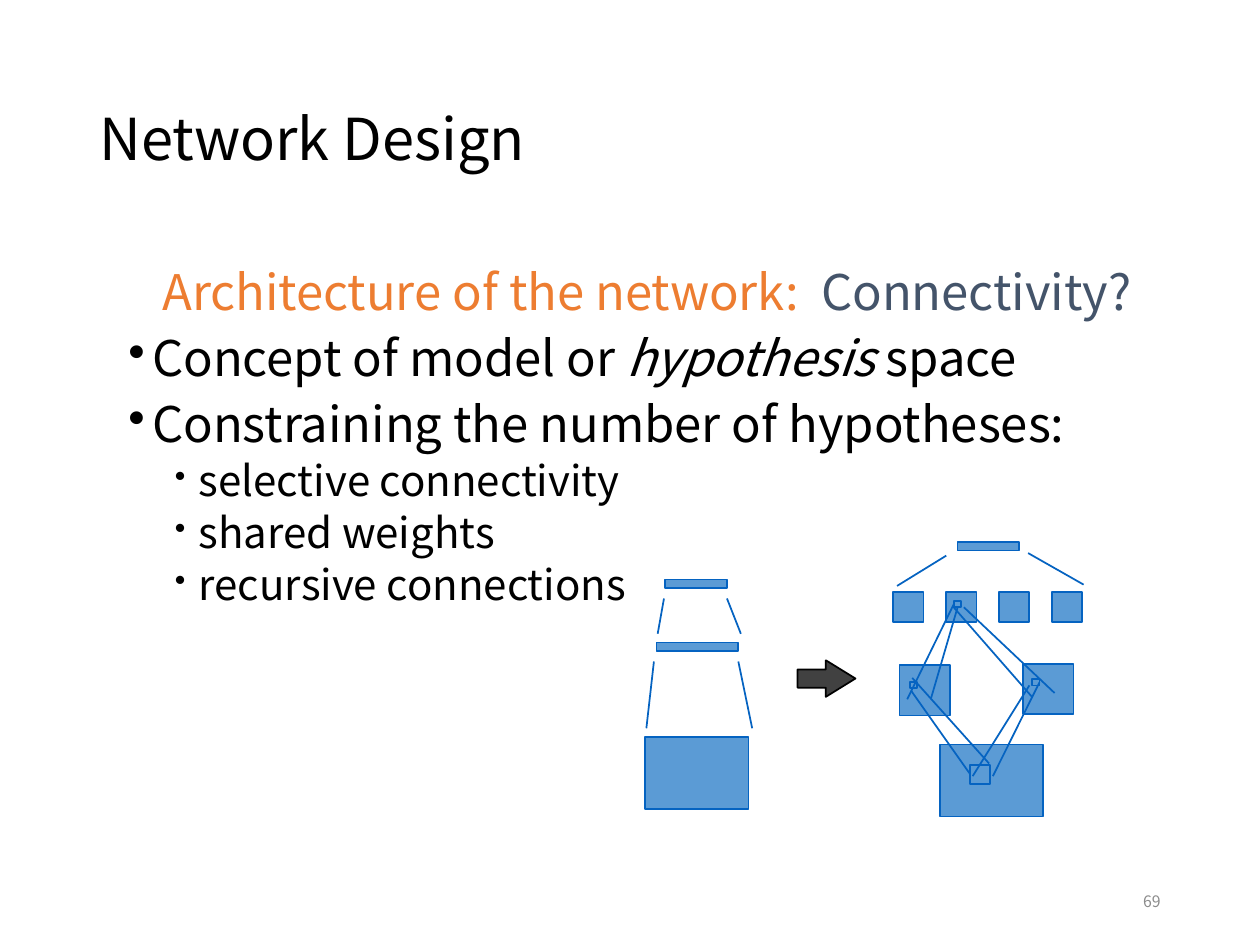
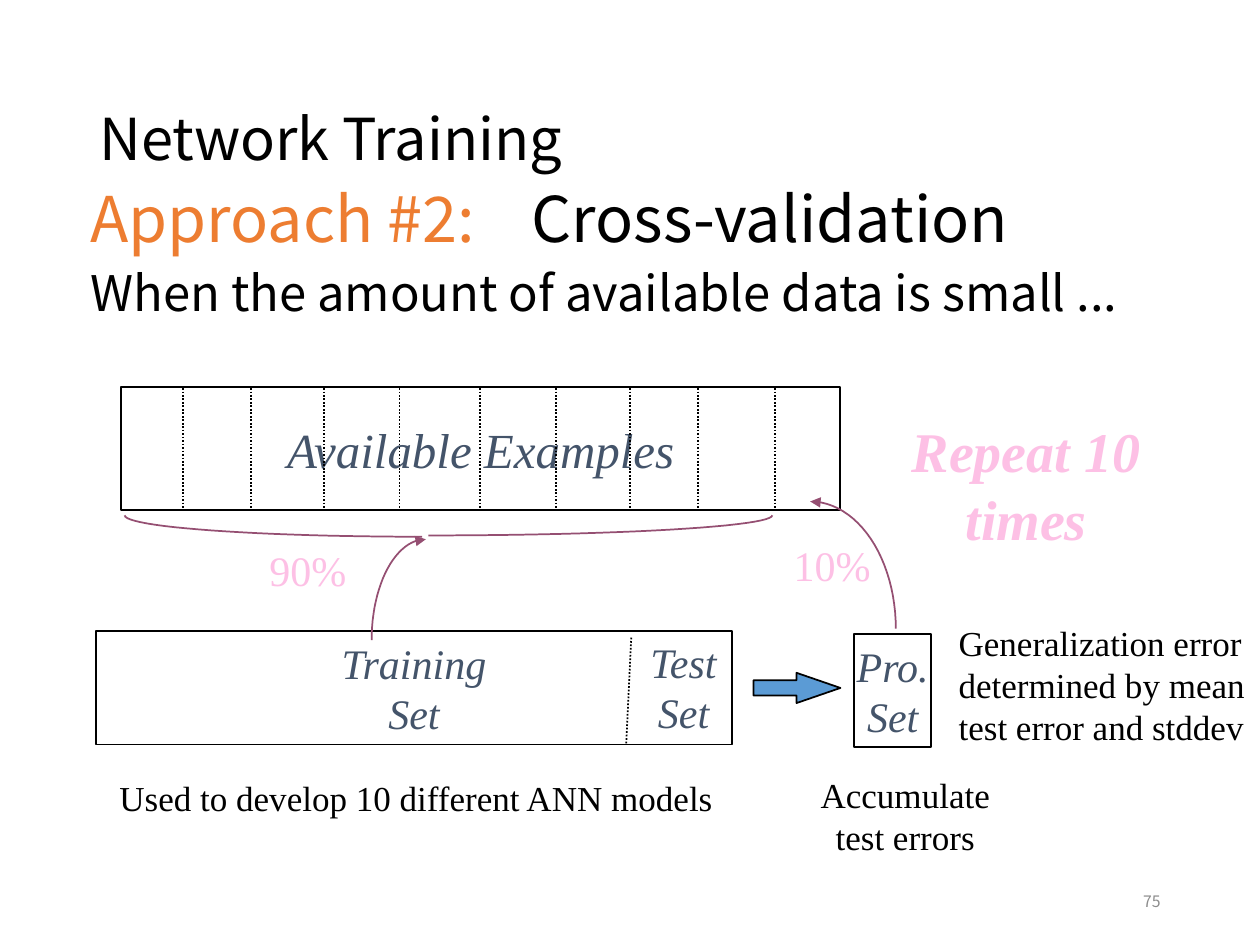
from dataclasses import dataclass
from math import cos, pi, sin

from lxml import etree
from pptx import Presentation
from pptx.dml.color import RGBColor
from pptx.enum.dml import MSO_LINE
from pptx.enum.shapes import MSO_CONNECTOR, MSO_SHAPE
from pptx.enum.text import MSO_ANCHOR, MSO_AUTO_SIZE, PP_ALIGN
from pptx.oxml.ns import qn
from pptx.util import Inches, Pt

LEFT, CENTER, RIGHT = PP_ALIGN.LEFT, PP_ALIGN.CENTER, PP_ALIGN.RIGHT
MIDDLE, TOP = MSO_ANCHOR.MIDDLE, MSO_ANCHOR.TOP
RECTANGLE, RIGHT_ARROW = MSO_SHAPE.RECTANGLE, MSO_SHAPE.RIGHT_ARROW
STRAIGHT = MSO_CONNECTOR.STRAIGHT
DOTTED = MSO_LINE.ROUND_DOT
GROW = MSO_AUTO_SIZE.SHAPE_TO_FIT_TEXT
SIDE_LEFT, SIDE_BOTTOM, SIDE_RIGHT = 1, 2, 3


@dataclass(frozen=True)
class Theme:
    sans: str = "Noto Sans CJK KR"
    serif: str = "Times New Roman"
    black: str = "000000"
    orange: str = "ED7D31"
    slate: str = "44546A"
    layer: str = "5B9BD5"
    link: str = "0563C1"
    arrow: str = "414141"
    plum: str = "954F72"
    pink: str = "FDC0E5"
    grey: str = "8C8C8C"
    title: int = 33
    approach: int = 36
    repeat: int = 32
    body: int = 28
    sub: int = 24
    note: int = 20
    number: int = 9
    rule: int = 1
    spacing: float = 0.9


THEME = Theme()


def rgb(value):
    return RGBColor.from_string(value)


def style_run(run, size, color, font, italic=False, bold=False):
    run.font.size = Pt(size)
    run.font.name = font
    run.font.color.rgb = rgb(color)
    run.font.italic = italic
    run.font.bold = bold


def write_lines(frame, lines, size, color, font=THEME.serif, align=LEFT,
                anchor=TOP, wrap=False, **emphasis):
    frame.text = "\n".join(lines)
    frame.word_wrap = wrap
    frame.vertical_anchor = anchor
    for paragraph in frame.paragraphs:
        paragraph.alignment = align
        for run in paragraph.runs:
            style_run(run, size, color, font, **emphasis)


def add_label(slide, box, lines, size, color, **options):
    frame = slide.shapes.add_textbox(*map(Inches, box)).text_frame
    write_lines(frame, lines, size, color, **options)
    frame.auto_size = GROW


def add_frame_text(slide, box, text, size, color, **options):
    frame = slide.shapes.add_textbox(*map(Inches, box)).text_frame
    write_lines(frame, [text], size, color, font=THEME.sans,
                anchor=MIDDLE, wrap=True, **options)
    return frame


def add_slide(deck, title, number):
    slide = deck.slides.add_slide(deck.slide_layouts[6])
    heading = add_frame_text(slide, (0.69, 0.4, 8.62, 1.45), title,
                             THEME.title, THEME.black)
    heading.paragraphs[0].line_spacing = THEME.spacing
    add_frame_text(slide, (7.06, 6.95, 2.25, 0.4), str(number),
                   THEME.number, THEME.grey, align=RIGHT)
    return slide


def add_body(slide, box):
    frame = slide.shapes.add_textbox(*map(Inches, box)).text_frame
    frame.word_wrap = True
    return frame


def add_body_line(frame, runs, size, margin=0.19, indent=-0.19, before=7.5,
                  level=0, bullet_percent=None, tab=None):
    first = not frame.paragraphs[0].runs
    paragraph = frame.paragraphs[0] if first else frame.add_paragraph()
    paragraph.level = level
    properties = paragraph._p.get_or_add_pPr()
    properties.set("marL", str(Inches(margin)))
    properties.set("indent", str(Inches(indent)))
    if bullet_percent:
        etree.SubElement(properties, qn("a:buSzPct"), val=str(bullet_percent * 1000))
        etree.SubElement(properties, qn("a:buChar"), char="•")
    if tab:
        stops = etree.SubElement(properties, qn("a:tabLst"))
        etree.SubElement(stops, qn("a:tab"), pos=str(Inches(tab)), algn="l")
    paragraph.line_spacing = THEME.spacing
    paragraph.space_before = Pt(0 if first else before)
    for text, color, italic in runs:
        run = paragraph.add_run()
        run.text = text
        style_run(run, size, color, THEME.sans, italic)


def add_block(slide, box, fill=None, line=THEME.black, kind=RECTANGLE):
    block = slide.shapes.add_shape(kind, *map(Inches, box))
    block.shadow.inherit = False
    if fill:
        block.fill.solid()
        block.fill.fore_color.rgb = rgb(fill)
    else:
        block.fill.background()
    block.line.color.rgb = rgb(line)
    block.line.width = Pt(THEME.rule)
    return block


def add_layer(slide, *box):
    return add_block(slide, box, THEME.layer, THEME.link)


def add_arrow(slide, box, fill, head):
    arrow = add_block(slide, box, fill, kind=RIGHT_ARROW)
    arrow.adjustments[0] = 0.5
    arrow.adjustments[1] = head


def add_set(slide, box, lines, size):
    block = add_block(slide, box)
    write_lines(block.text_frame, lines, size, THEME.slate,
                align=CENTER, anchor=MIDDLE, italic=True)


def add_line(slide, start, end, color=THEME.link, dash=None):
    line = slide.shapes.add_connector(STRAIGHT, *map(Inches, start + end))
    line.line.color.rgb = rgb(color)
    line.line.width = Pt(THEME.rule)
    if dash:
        line.line.dash_style = dash
    etree.SubElement(line._element.spPr, qn("a:effectLst"))
    return line


def add_quarter_curve(slide, flat, steep, arrow=False, steps=24):
    angles = [pi / 2 * step / steps for step in range(steps + 1)]
    points = [(Inches(flat[0] + (steep[0] - flat[0]) * sin(angle)),
               Inches(steep[1] + (flat[1] - steep[1]) * cos(angle)))
              for angle in angles]
    builder = slide.shapes.build_freeform(*points[0])
    builder.add_line_segments(points[1:], close=False)
    curve = builder.convert_to_shape()
    curve.shadow.inherit = False
    curve.fill.background()
    curve.line.color.rgb = rgb(THEME.plum)
    curve.line.width = Pt(THEME.rule)
    if arrow:
        etree.SubElement(curve.line._get_or_add_ln(), qn("a:headEnd"), type="triangle")


def draw_dense_network(slide):
    for layer in ((5.12, 5.85, 0.82, 0.57), (5.21, 5.1, 0.65, 0.07), (5.28, 4.6, 0.49, 0.07)):
        add_layer(slide, *layer)
    for start, end in (((5.13, 5.78), (5.19, 5.25)), ((5.97, 5.78), (5.86, 5.25)),
                       ((5.22, 5.03), (5.27, 4.75)), ((5.88, 5.03), (5.77, 4.75))):
        add_line(slide, start, end)


def draw_selective_network(slide):
    add_layer(slide, 7.46, 5.91, 0.82, 0.57)
    add_layer(slide, 7.14, 5.28, 0.4, 0.4)
    add_layer(slide, 8.12, 5.27, 0.4, 0.4)
    for column in range(4):
        add_layer(slide, 7.09 + 0.42 * column, 4.7, 0.24, 0.24)
    add_layer(slide, 7.6, 4.3, 0.49, 0.07)
    add_line(slide, (7.12, 4.65), (7.51, 4.41))
    add_line(slide, (8.6, 4.64), (8.16, 4.39))

    input_patch = add_layer(slide, 7.7, 6.07, 0.16, 0.15)
    add_layer(slide, 7.22, 5.41, 0.06, 0.05)
    top_unit = add_layer(slide, 7.57, 4.77, 0.06, 0.05)
    right_unit = add_layer(slide, 8.19, 5.39, 0.06, 0.05)

    add_line(slide, (7.69, 6.15), (7.23, 5.48)).begin_connect(input_patch, SIDE_LEFT)
    add_line(slide, (7.85, 6.06), (7.24, 5.38))
    add_line(slide, (7.72, 6.16), (8.17, 5.44))
    add_line(slide, (7.88, 6.16), (8.25, 5.41)).end_connect(right_unit, SIDE_RIGHT)
    add_line(slide, (7.2, 5.55), (7.55, 4.8)).end_connect(top_unit, SIDE_LEFT)
    add_line(slide, (7.39, 5.54), (7.62, 4.82)).end_connect(top_unit, SIDE_BOTTOM)
    add_line(slide, (8.37, 5.5), (7.65, 4.82))
    add_line(slide, (8.19, 5.53), (7.56, 4.81))


def build_design(deck):
    slide = add_slide(deck, "Network Design", 69)
    body = add_body(slide, (0.92, 2.08, 8.5, 4.5))
    add_body_line(body, [("Architecture of the network:\t", THEME.orange, False),
                         ("Connectivity?", THEME.slate, False)],
                  THEME.body, margin=0, indent=0.27, tab=5.55)
    add_body_line(body, [("Concept of model or ", THEME.black, False),
                         ("hypothesis", THEME.black, True),
                         (" space", THEME.black, False)],
                  THEME.body, bullet_percent=100)
    add_body_line(body, [("Constraining the number of hypotheses:", THEME.black, False)],
                  THEME.body, bullet_percent=100)
    for constraint in ("selective connectivity", "shared weights", "recursive connections"):
        add_body_line(body, [(constraint, THEME.black, False)], THEME.sub,
                      margin=0.56, before=3.8, level=1, bullet_percent=75)
    draw_dense_network(slide)
    draw_selective_network(slide)
    add_arrow(slide, (6.33, 5.24, 0.46, 0.29), THEME.arrow, 0.81)


def build_training(deck):
    slide = add_slide(deck, "Network Training", 75)
    body = add_body(slide, (0.62, 1.44, 8.5, 4.5))
    add_body_line(body, [("Approach #2:\t", THEME.orange, False),
                         ("Cross-validation", THEME.black, False)],
                  THEME.approach, margin=0, indent=0, tab=3.36)
    add_body_line(body, [("When the amount of available data is small ...", THEME.black, False)],
                  THEME.body)

    add_set(slide, (0.96, 3.07, 5.71, 0.98), ["Available Examples"], THEME.body)
    add_set(slide, (0.76, 5.01, 5.05, 0.9), ["Training", "Set"], THEME.sub)
    add_set(slide, (6.78, 5.03, 0.61, 0.9), ["Pro.", "Set"], THEME.sub)

    add_quarter_curve(slide, (3.38, 4.28), (2.95, 5.08), arrow=True)
    add_label(slide, (6.2, 4.23, 0.82, 0.51), ["10%"], THEME.sub, THEME.pink)
    add_label(slide, (2.04, 4.27, 0.82, 0.51), ["90%"], THEME.sub, THEME.pink)
    add_quarter_curve(slide, (6.43, 3.98), (7.11, 4.99), arrow=True)
    for fold in (1.45, 1.99, 2.57, 3.17, 3.81, 4.41, 5, 5.54, 6.15):
        add_line(slide, (fold, 3.08), (fold, 4.04), THEME.black, DOTTED)
    add_label(slide, (7.13, 3.26, 2.03, 1.18), ["Repeat 10", "times"],
              THEME.repeat, THEME.pink, align=CENTER, italic=True, bold=True)
    add_quarter_curve(slide, (3.35, 4.26), (0.99, 4.09))
    add_quarter_curve(slide, (3.4, 4.25), (6.13, 4.09))

    add_label(slide, (0.85, 6.11, 4.93, 0.44), ["Used to develop 10 different ANN models"],
              THEME.note, THEME.black)
    add_arrow(slide, (5.98, 5.34, 0.69, 0.24), THEME.layer, 1.45)
    add_label(slide, (6.41, 6.09, 1.55, 0.78), ["Accumulate", "test errors"],
              THEME.note, THEME.black, align=CENTER)
    add_label(slide, (7.51, 4.88, 2.48, 1.11),
              ["Generalization error", "determined by mean", "test error and stddev"],
              THEME.note, THEME.black)
    add_line(slide, (5.01, 5.06), (4.97, 5.91), THEME.black, DOTTED)
    add_label(slide, (5.04, 5, 0.77, 0.91), ["Test", "Set"], THEME.sub, THEME.slate,
              align=CENTER, italic=True)


def main():
    deck = Presentation()
    deck.slide_width = Inches(10)
    deck.slide_height = Inches(7.5)
    build_design(deck)
    build_training(deck)
    deck.save("out.pptx")


if __name__ == "__main__":
    main()
